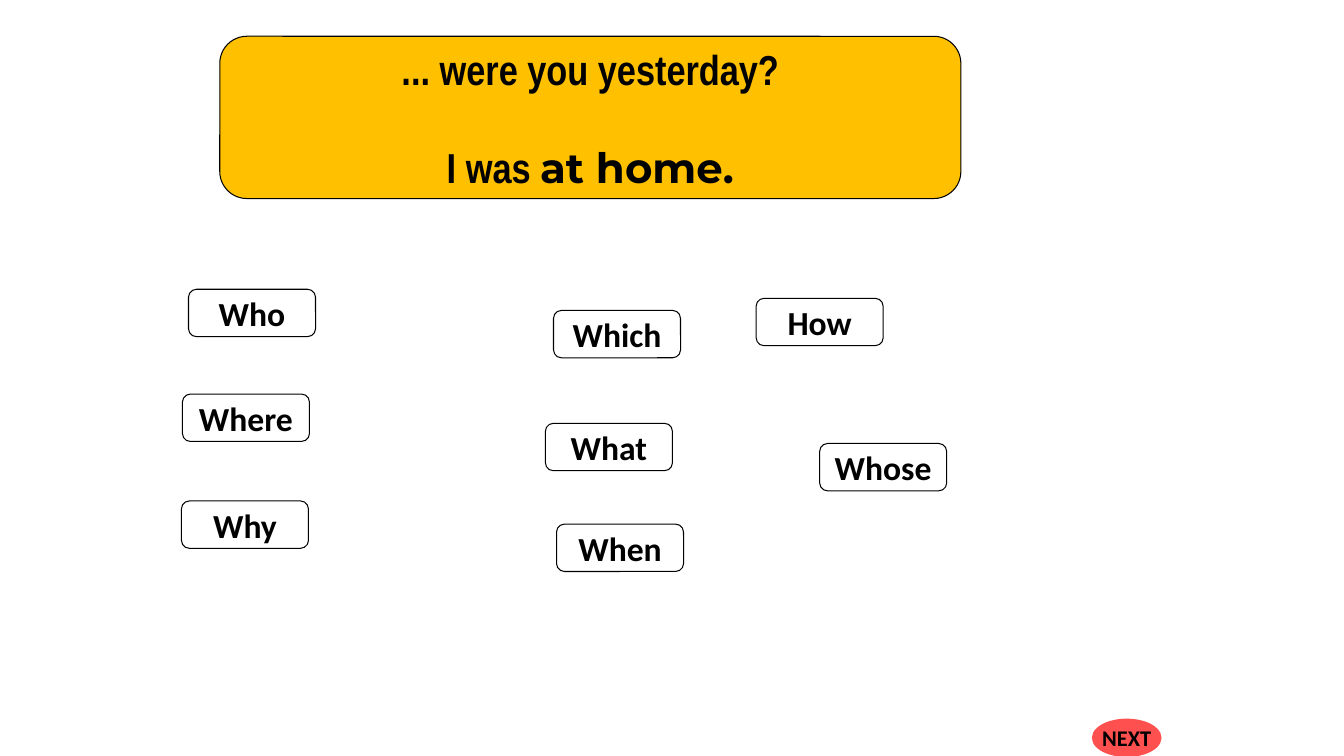
from pptx import Presentation
from pptx.dml.color import RGBColor
from pptx.enum.shapes import MSO_SHAPE
from pptx.enum.text import MSO_ANCHOR, PP_ALIGN
from pptx.util import Inches, Pt

ROUNDED = MSO_SHAPE.ROUNDED_RECTANGLE
OVAL = MSO_SHAPE.OVAL
MIDDLE = MSO_ANCHOR.MIDDLE
CENTER = PP_ALIGN.CENTER

BLACK = RGBColor(0x00, 0x00, 0x00)
WHITE = RGBColor(0xFF, 0xFF, 0xFF)
AMBER = RGBColor(0xFF, 0xC0, 0x00)
RED = RGBColor(0xFF, 0x50, 0x50)

ANSWERS = [
    ("How", 7.5, 2.96),
    ("Where", 1.81, 3.91),
    ("When", 5.52, 5.2),
    ("What", 5.41, 4.2),
    ("Who", 1.87, 2.87),
    ("Which", 5.49, 3.08),
    ("Whose", 8.13, 4.4),
    ("Why", 1.8, 4.97),
]


class QuizSlide:
    body_font = "Calibri"
    question_font = "Arial Narrow"
    emphasis_font = "Montserrat"

    def __init__(self, presentation):
        self.slide = presentation.slides.add_slide(presentation.slide_layouts[6])

    def add_box(self, kind, left, top, width, height, fill, line, line_width):
        shape = self.slide.shapes.add_shape(
            kind, Inches(left), Inches(top), Inches(width), Inches(height)
        )
        shape.shadow.inherit = False
        shape.fill.solid()
        shape.fill.fore_color.rgb = fill
        shape.line.color.rgb = line
        shape.line.width = Pt(line_width)
        shape.text_frame.word_wrap = False
        shape.text_frame.vertical_anchor = MIDDLE
        return shape

    def format_paragraph(self, paragraph, size, name):
        paragraph.alignment = CENTER
        paragraph.font.size = Pt(size)
        paragraph.font.bold = True
        paragraph.font.color.rgb = BLACK
        if name:
            paragraph.font.name = name

    def add_question(self, question, reply, emphasis):
        shape = self.add_box(ROUNDED, 2.18, 0.36, 7.35, 1.61, AMBER, BLACK, 0.75)
        first = shape.text_frame.paragraphs[0]
        first.text = question
        self.format_paragraph(first, 29.9, self.question_font)
        second = shape.text_frame.add_paragraph()
        second.space_before = Pt(34)
        self.format_paragraph(second, 29.9, None)
        for text, name in ((reply, self.question_font), (emphasis, self.emphasis_font)):
            run = second.add_run()
            run.text = text
            run.font.name = name

    def add_label(self, shape, text, size):
        paragraph = shape.text_frame.paragraphs[0]
        paragraph.text = text
        self.format_paragraph(paragraph, size, self.body_font)

    def add_answer(self, text, left, top):
        shape = self.add_box(ROUNDED, left, top, 1.26, 0.47, WHITE, BLACK, 0.75)
        self.add_label(shape, text, 24)

    def add_next_button(self, text, left, top):
        shape = self.add_box(OVAL, left, top, 0.67, 0.36, RED, RED, 1.5)
        self.add_label(shape, text, 16)


def main():
    presentation = Presentation()
    presentation.slide_width = Inches(13.33)
    presentation.slide_height = Inches(7.5)
    quiz = QuizSlide(presentation)
    quiz.add_question("... were you yesterday?", "I was ", "at home.")
    for text, left, top in ANSWERS:
        quiz.add_answer(text, left, top)
    quiz.add_next_button("NEXT", 10.84, 7.14)
    presentation.save("out.pptx")


if __name__ == "__main__":
    main()
